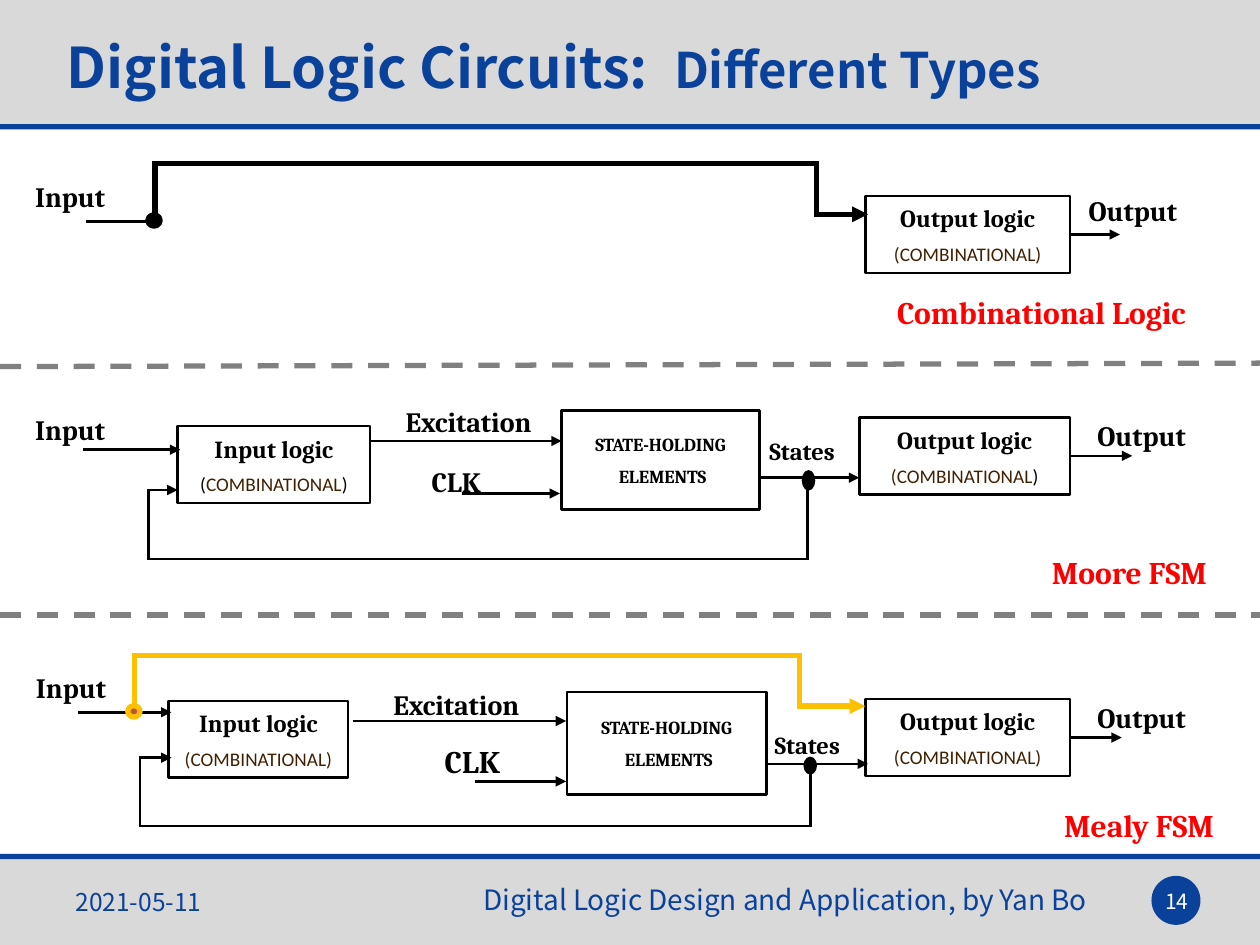
from dataclasses import dataclass
from itertools import pairwise

from lxml.etree import SubElement
from pptx import Presentation
from pptx.dml.color import RGBColor
from pptx.enum.dml import MSO_LINE
from pptx.enum.shapes import MSO_CONNECTOR, MSO_SHAPE
from pptx.enum.text import MSO_ANCHOR, PP_ALIGN
from pptx.oxml.ns import qn
from pptx.util import Pt


@dataclass(frozen=True)
class Theme:
    """Colours, fonts and type sizes of the slide."""

    blue: str = "0A419B"
    band: str = "D9D9D9"
    ink: str = "000000"
    brown: str = "402000"
    red: str = "FF0000"
    gold: str = "FFC000"
    rose: str = "C0504D"
    gray: str = "808080"
    white: str = "FFFFFF"
    sans: str = "Noto Sans CJK SC"
    serif: str = "Cambria"
    note: str = "Calibri"
    title: float = 32
    subtitle: float = 28
    caption: float = 18
    label: float = 16
    block: float = 14
    page: float = 12
    small: float = 11
    state: float = 10.5
    thin: float = 1.5
    thick: float = 3


THEME = Theme()


def apply_format(target, values):
    """Set each attribute named in values on target."""
    for name, value in values.items():
        setattr(target, name, value)


def add_run(paragraph, text, size, color, font=THEME.serif, bold=True):
    """Append one formatted run to a paragraph."""
    run = paragraph.add_run()
    run.text = text
    apply_format(run.font, {"name": font, "size": Pt(size), "bold": bold})
    run.font.color.rgb = RGBColor.from_string(color)


def draw_shape(slide, kind, place, fill=None, line=None, width=THEME.thin):
    """Draw a preset shape at (left, top, width, height)."""
    shape = slide.shapes.add_shape(kind, *map(Pt, place))
    shape.shadow.inherit = False
    if fill:
        shape.fill.solid()
        shape.fill.fore_color.rgb = RGBColor.from_string(fill)
    else:
        shape.fill.background()
    if line:
        shape.line.color.rgb = RGBColor.from_string(line)
        shape.line.width = Pt(width)
    else:
        shape.line.fill.background()
    return shape


def draw_label(slide, text, place, size=THEME.label, color=THEME.ink, font=THEME.serif,
               bold=True, align=PP_ALIGN.LEFT, anchor=MSO_ANCHOR.MIDDLE):
    """Write one line of text in a text box."""
    frame = slide.shapes.add_textbox(*map(Pt, place)).text_frame
    apply_format(frame, {"word_wrap": True, "vertical_anchor": anchor})
    frame.paragraphs[0].alignment = align
    add_run(frame.paragraphs[0], text, size, color, font, bold)


def draw_block(slide, place, lines):
    """Draw an outlined block holding one paragraph per list of runs."""
    shape = draw_shape(slide, MSO_SHAPE.RECTANGLE, place, line=THEME.ink)
    frame = shape.text_frame
    apply_format(frame, {"word_wrap": True, "vertical_anchor": MSO_ANCHOR.MIDDLE,
                         "margin_left": 0, "margin_right": 0})
    for index, runs in enumerate(lines):
        paragraph = frame.add_paragraph() if index else frame.paragraphs[0]
        apply_format(paragraph, {"alignment": PP_ALIGN.CENTER,
                                 "space_before": Pt(5.5 if index else 0)})
        for run in runs:
            add_run(paragraph, *run)
    return shape


def draw_logic(slide, name, place, colors=(THEME.brown,) * 3):
    """Draw a combinational block; colors are for bracket, word, bracket."""
    words = ("(", "COMBINATIONAL", ")")
    note = [(word, THEME.small, color, THEME.note, False) for word, color in zip(words, colors)]
    return draw_block(slide, place, [[(name, THEME.block, THEME.ink)], note])


def draw_state(slide, place):
    """Draw the block of state-holding elements."""
    draw_block(slide, place, [[(text, THEME.state, THEME.ink)]
                              for text in ("STATE-HOLDING", " ELEMENTS")])


def draw_wire(slide, points, color=THEME.ink, width=THEME.thin, arrow=True, dash=None):
    """Draw straight segments through points and return the first one."""
    segments = []
    for start, end in pairwise(points):
        wire = slide.shapes.add_connector(MSO_CONNECTOR.STRAIGHT, *map(Pt, start + end))
        wire.line.color.rgb = RGBColor.from_string(color)
        apply_format(wire.line, {"width": Pt(width), "dash_style": dash})
        SubElement(wire.element.spPr, qn("a:effectLst"))
        segments.append(wire)
    for wire in segments[:-1]:
        wire.line._get_or_add_ln().set("cap", "sq")
    if arrow:
        SubElement(segments[-1].line._get_or_add_ln(), qn("a:tailEnd")).set("type", "triangle")
    return segments[0]


def draw_output(slide, block, end_x):
    """Draw the arrow leaving the right side of an output block."""
    middle = (block.top + block.height / 2) / Pt(1)
    start_x = (block.left + block.width) / Pt(1)
    draw_wire(slide, [(start_x, middle), (end_x, middle)]).begin_connect(block, 3)


def draw_junction(slide, center, size, fill=THEME.ink, line=THEME.ink, width=0.75):
    """Draw a junction dot around its centre."""
    place = (center[0] - size[0] / 2, center[1] - size[1] / 2, *size)
    draw_shape(slide, MSO_SHAPE.OVAL, place, fill, line, width)


def draw_bypass(slide, start, top, turn, end, color, fill):
    """Draw the thick path from the input over the top to the output logic."""
    points = [start, (start[0], top), (turn, top), (turn, end[1]), end]
    draw_wire(slide, points, color, THEME.thick)
    draw_junction(slide, (start[0] - 0.5, start[1] - 0.5), (7, 6.5), fill, color, THEME.thick)


def draw_feedback(slide, start, bottom, left, end):
    """Draw the path from the states back to the input logic."""
    points = [start, (start[0], bottom), (left, bottom), (left, end[1]), end]
    draw_wire(slide, points)


def draw_frame(slide):
    """Draw the bands, the title and the footer."""
    for top, height, color in ((491, 49, THEME.band), (0, 71, THEME.band),
                               (71, 3, THEME.blue), (488, 3, THEME.blue)):
        draw_shape(slide, MSO_SHAPE.RECTANGLE, (0, top, 720, height), color)
    draw_shape(slide, MSO_SHAPE.OVAL, (658, 500.5, 28, 28), THEME.blue)
    title = slide.shapes.title
    apply_format(title, {"left": Pt(31), "top": Pt(8), "width": Pt(660), "height": Pt(60)})
    title.text_frame.vertical_anchor = MSO_ANCHOR.MIDDLE
    paragraph = title.text_frame.paragraphs[0]
    paragraph.alignment = PP_ALIGN.LEFT
    add_run(paragraph, "Digital Logic Circuits:  ", THEME.title, THEME.blue, THEME.sans)
    add_run(paragraph, "Different Types", THEME.subtitle, THEME.blue, THEME.sans)
    title.element.getparent().append(title.element)
    draw_label(slide, "Digital Logic Design and Application, by Yan Bo", (269, 500.5, 380, 39),
               THEME.label, THEME.blue, THEME.sans, False, anchor=MSO_ANCHOR.TOP)
    draw_label(slide, "2021-05-11", (36, 500.5, 168, 29), THEME.block, THEME.blue, THEME.sans, False)
    draw_label(slide, "14", (655, 500.5, 35, 29), THEME.page, THEME.white, THEME.sans, False,
               PP_ALIGN.CENTER)
    for left, right in ((209.5, 207.5), (351.5, 351.5)):
        draw_wire(slide, [(0, left), (720, right)], THEME.gray, THEME.thick, False, MSO_LINE.DASH)


def draw_combinational(slide):
    """Draw the purely combinational circuit."""
    draw_output(slide, draw_logic(slide, "Output logic", (494.5, 112, 117, 44)), 640)
    draw_wire(slide, [(49, 126.5), (91, 126.5)])
    draw_bypass(slide, (88.5, 126.5), 93.5, 466.5, (496, 122.5), THEME.ink, THEME.ink)


def draw_moore(slide):
    """Draw the Moore machine."""
    draw_logic(slide, "Input logic", (101.5, 243.5, 110, 44), (THEME.ink, THEME.brown, THEME.ink))
    output = draw_logic(slide, "Output logic", (491, 238.5, 120.5, 44),
                        (THEME.brown, THEME.brown, THEME.ink))
    draw_state(slide, (321, 234.5, 113, 56.5))
    draw_output(slide, output, 647)
    for start, end, height in ((47.5, 103, 257), (211.5, 321, 252), (264, 320, 282), (434, 491, 273)):
        draw_wire(slide, [(start, height), (end, height)])
    draw_feedback(slide, (461.5, 273), 319.5, 85, (101.5, 280))
    draw_junction(slide, (462, 274.5), (7, 11))


def draw_mealy(slide):
    """Draw the Mealy machine."""
    draw_logic(slide, "Input logic", (96.5, 400.5, 102.5, 44))
    output = draw_logic(slide, "Output logic", (494.5, 399.5, 117, 44))
    draw_state(slide, (324, 395.5, 114, 58.5))
    draw_output(slide, output, 641)
    for start, end, height in ((44.5, 98, 407), (201.5, 323.5, 412), (271.5, 323.5, 446.5), (438, 496, 436.5)):
        draw_wire(slide, [(start, height), (end, height)])
    draw_feedback(slide, (463, 436.5), 472, 80, (98, 433))
    draw_junction(slide, (463, 437.5), (7, 9.5))
    draw_bypass(slide, (77, 407), 374.5, 457, (494.5, 403.5), THEME.gold, THEME.rose)


def draw_labels(slide):
    """Write the signal names and the circuit captions."""
    for text, left, top, width, size in (
            ("Input", 13, 98.5, 61, THEME.label), ("Input", 13, 232, 61, THEME.label),
            ("Input", 13.5, 379, 61, THEME.label), ("Output", 615, 106.5, 73, THEME.label),
            ("Output", 620, 235.5, 73, THEME.label), ("Output", 620, 396.5, 73, THEME.label),
            ("CLK", 239.5, 261.5, 51, THEME.label), ("CLK", 247, 421, 55, THEME.caption),
            ("States", 432.5, 244, 62, THEME.block), ("States", 435.5, 412, 59, THEME.block)):
        draw_label(slide, text, (left, top, width, 27), size)
    for left, top in ((214.5, 227.5), (207.5, 389)):
        draw_label(slide, "Excitation", (left, top, 106.5, 27), align=PP_ALIGN.CENTER)
    for text, left, top, width in (("Combinational Logic", 505.5, 163.5, 209.5),
                                   ("Moore FSM", 594, 312, 123), ("Mealy FSM", 601, 457, 118)):
        draw_label(slide, text, (left, top, width, 29), THEME.caption, THEME.red)


def main():
    """Build and save the slide."""
    presentation = Presentation()
    apply_format(presentation, {"slide_width": Pt(720), "slide_height": Pt(540)})
    slide = presentation.slides.add_slide(presentation.slide_layouts[5])
    for draw in (draw_frame, draw_combinational, draw_moore, draw_mealy, draw_labels):
        draw(slide)
    presentation.save("out.pptx")


if __name__ == "__main__":
    main()
